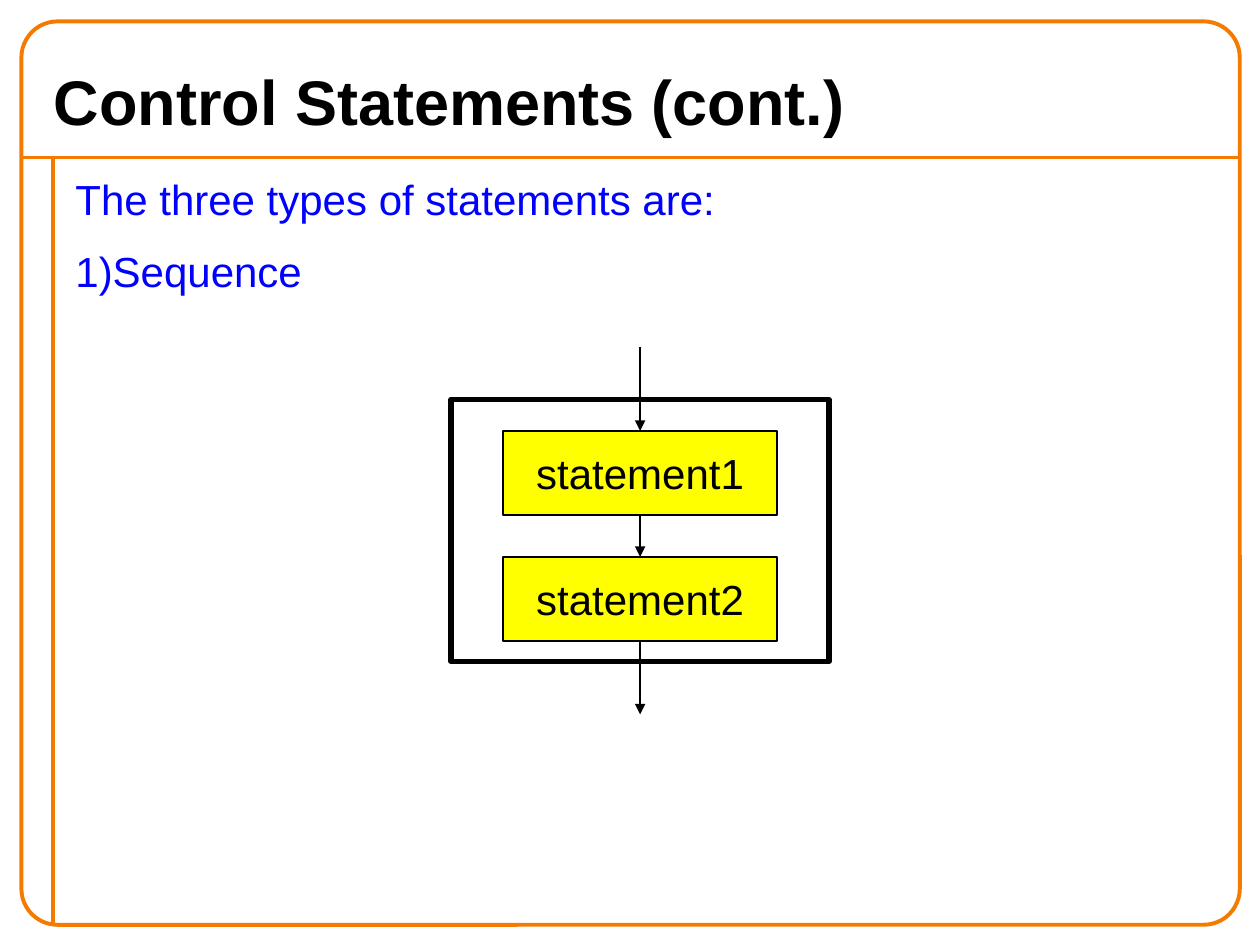
from dataclasses import dataclass

from lxml import etree
from pptx import Presentation
from pptx.dml.color import RGBColor
from pptx.enum.shapes import MSO_CONNECTOR, MSO_SHAPE
from pptx.enum.text import MSO_ANCHOR, PP_ALIGN
from pptx.oxml.ns import qn
from pptx.util import Inches, Pt

RECT, ROUND = MSO_SHAPE.RECTANGLE, MSO_SHAPE.ROUNDED_RECTANGLE
LINE = MSO_CONNECTOR.STRAIGHT
TOP, MIDDLE = MSO_ANCHOR.TOP, MSO_ANCHOR.MIDDLE
LEFT, CENTER = PP_ALIGN.LEFT, PP_ALIGN.CENTER


@dataclass(frozen=True)
class Theme:
    """Colours, font, type sizes and line widths."""
    orange: str = "F47A00"
    black: str = "000000"
    blue: str = "0000FF"
    yellow: str = "FFFF00"
    font: str = "Arial"
    title: int = 36
    body: int = 24
    thin: float = 1
    rule: float = 2.25
    thick: float = 3


def write(frame, lines, size, color, bold=False, align=LEFT, anchor=TOP,
          wrap=True, before=0):
    """Fill a text frame with one paragraph per line."""
    frame.word_wrap = wrap
    frame.vertical_anchor = anchor
    for i, line in enumerate(lines):
        para = frame.paragraphs[0] if i == 0 else frame.add_paragraph()
        para.alignment = align
        para.space_before = Pt(before)
        run = para.add_run()
        run.text = line
        font = run.font
        font.name, font.size, font.bold = Theme.font, Pt(size), bold
        font.color.rgb = RGBColor.from_string(color)


def number(para, indent):
    """Give a paragraph a number with a closing bracket."""
    props = para._p.get_or_add_pPr()
    props.set("marL", str(Inches(indent)))
    props.set("indent", str(-Inches(indent)))
    mark = etree.SubElement(props, qn("a:buAutoNum"))
    mark.set("type", "arabicParenR")


class Board:
    """Draw elements on one slide in one style."""

    def __init__(self, slide, theme):
        """Keep the slide and its theme."""
        self.shapes, self.theme = slide.shapes, theme

    def stroke(self, line, color, width):
        """Set the colour and width of a line."""
        line.color.rgb = RGBColor.from_string(color)
        line.width = Pt(width)

    def box(self, kind, at, color, width, fill=None):
        """Add an outlined shape, filled if a colour is given."""
        shape = self.shapes.add_shape(kind, *map(Inches, at))
        shape.shadow.inherit = False
        self.stroke(shape.line, color, width)
        if fill:
            shape.fill.solid()
            shape.fill.fore_color.rgb = RGBColor.from_string(fill)
        else:
            shape.fill.background()
        return shape

    def line(self, start, end, color, width, arrow=False):
        """Add a straight line, with an arrowhead on request."""
        link = self.shapes.add_connector(LINE, *map(Inches, start + end))
        self.stroke(link.line, color, width)
        if arrow:
            head = etree.SubElement(link.line._get_or_add_ln(), qn("a:tailEnd"))
            head.set("type", "triangle")
        etree.SubElement(link._element.spPr, qn("a:effectLst"))

    def text(self, at, lines, size, color, **form):
        """Add a text box."""
        frame = self.shapes.add_textbox(*map(Inches, at)).text_frame
        write(frame, lines, size, color, **form)
        return frame


def main():
    """Build the slide and save it."""
    deck = Presentation()
    deck.slide_width, deck.slide_height = Inches(10), Inches(7.5)
    theme = Theme()
    board = Board(deck.slides.add_slide(deck.slide_layouts[6]), theme)

    for start, end in (((0.17, 1.25), (9.83, 1.25)), ((0.42, 1.25), (0.42, 7.33))):
        board.line(start, end, theme.orange, theme.rule)
    border = board.box(ROUND, (0.17, 0.17, 9.67, 7.17), theme.orange, theme.rule)
    border.adjustments[0] = 0.04

    board.text((0.33, 0.42, 9.33, 0.75), ["Control Statements (cont.)"],
               theme.title, theme.black, bold=True, anchor=MIDDLE)
    body = board.text((0.5, 1.33, 9.25, 6),
                      ["The three types of statements are:", "Sequence"],
                      theme.body, theme.blue, before=12)
    number(body.paragraphs[1], 0.24)

    mid, wide, high = 5.08, 2.17, 0.67
    tops = (3.42, 4.42)
    for i, top in enumerate(tops, 1):
        step = board.box(RECT, (mid - wide / 2, top, wide, high),
                         theme.black, theme.thin, theme.yellow)
        write(step.text_frame, [f"statement{i}"], theme.body, theme.black,
              align=CENTER, anchor=MIDDLE, wrap=False)
    board.box(RECT, (mid - 1.5, 3.17, 3, 2.08), theme.black, theme.thick)
    starts = [2.75] + [top + high for top in tops]
    for start, end in zip(starts, tops + (5.67,)):
        board.line((mid, start), (mid, end), theme.black, theme.thin, arrow=True)

    deck.save("out.pptx")


main()
